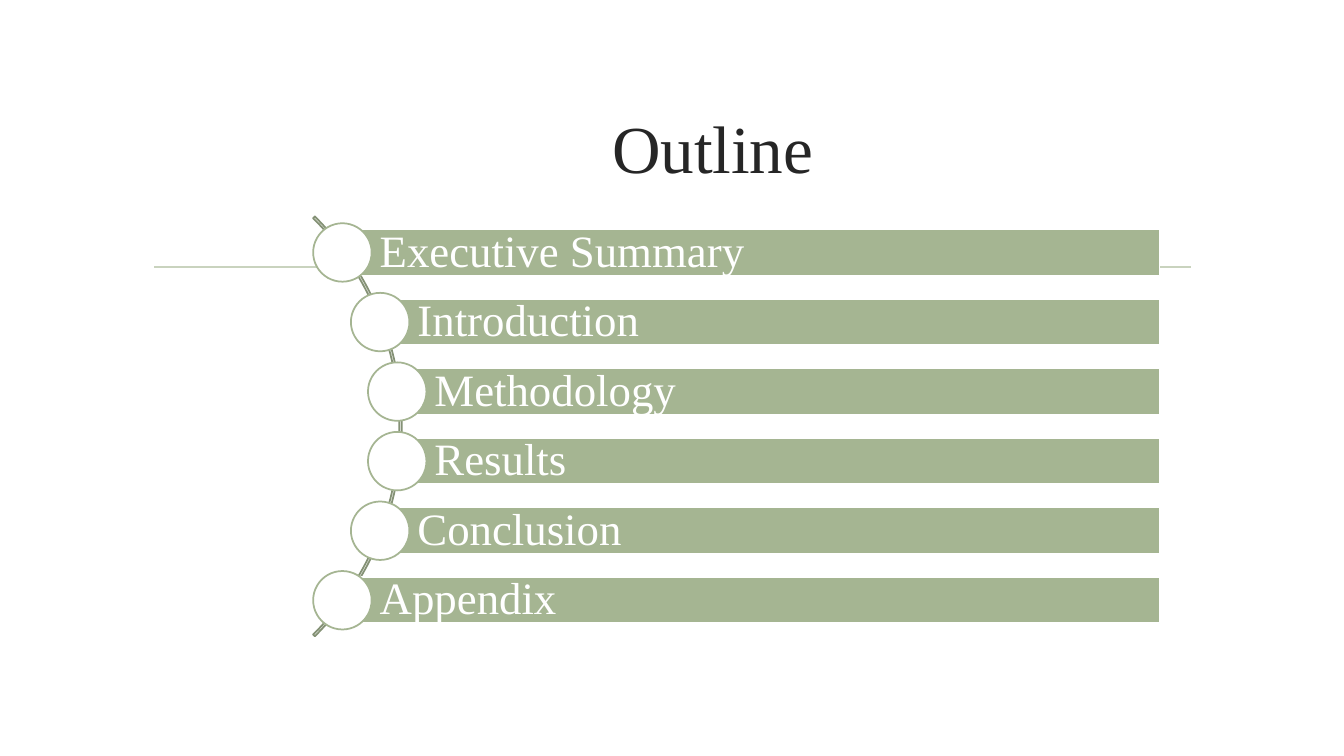
from math import sqrt

from pptx import Presentation
from pptx.dml.color import RGBColor
from pptx.enum.shapes import MSO_CONNECTOR, MSO_SHAPE
from pptx.enum.text import MSO_ANCHOR, PP_ALIGN
from pptx.oxml.ns import qn
from pptx.util import Inches, Pt

RECT, OVAL, ARC = MSO_SHAPE.RECTANGLE, MSO_SHAPE.OVAL, MSO_SHAPE.BLOCK_ARC
STRAIGHT = MSO_CONNECTOR.STRAIGHT
LEFT, CENTER, MIDDLE = PP_ALIGN.LEFT, PP_ALIGN.CENTER, MSO_ANCHOR.MIDDLE

TITLE = "Outline"
SECTIONS = ["Executive Summary", "Introduction", "Methodology",
            "Results", "Conclusion", "Appendix"]

FONT = "Times New Roman"
SAGE, OLIVE, PALE = "A5B592", "849175", "C9D3BE"
WHITE, INK = "FFFFFF", "262626"
LINE_WIDTH = Pt(1.25)

ARC_X, ARC_Y, ARC_SIZE = 1.04, 4.23, 5.89  # centre and diameter
MARKER_RADIUS = 2.92  # from the arc centre to the marker centres
MARKER_SIZE = 0.58
BAR_RIGHT, BAR_HEIGHT, ROW_PITCH = 11.5, 0.46, 0.69


def color(hex_code):
    return RGBColor.from_string(hex_code)


def set_line(line, hex_code):
    line.color.rgb = color(hex_code)
    line.width = LINE_WIDTH


def add_shape(kind, left, top, width, height, fill, outline):
    shape = slide.shapes.add_shape(
        kind, Inches(left), Inches(top), Inches(width), Inches(height))
    shape.shadow.inherit = False
    if fill:
        shape.fill.solid()
        shape.fill.fore_color.rgb = color(fill)
    else:
        shape.fill.background()
    set_line(shape.line, outline)
    return shape


def write(shape, text, size, ink, align=LEFT, spacing=1.0, inset=0.1, edge=0.09):
    """Put one line of text in a shape; inset is the left margin."""
    frame = shape.text_frame
    frame.word_wrap = True
    frame.vertical_anchor = MIDDLE
    frame.margin_left = Inches(inset)
    frame.margin_top = frame.margin_right = frame.margin_bottom = Inches(edge)
    paragraph = frame.paragraphs[0]
    paragraph.text = text
    paragraph.alignment = align
    paragraph.line_spacing = spacing
    font = paragraph.font
    font.name, font.size = FONT, Pt(size)
    font.color.rgb = color(ink)


prs = Presentation()
prs.slide_width, prs.slide_height = Inches(13.33), Inches(7.5)
slide = prs.slides.add_slide(prs.slide_layouts[6])

rule = slide.shapes.add_connector(
    STRAIGHT, Inches(1.53), Inches(2.65), Inches(11.81), Inches(2.65))
set_line(rule.line, PALE)
properties = rule._element.spPr
properties.append(properties.makeelement(qn("a:effectLst"), {}))

title = slide.shapes.add_textbox(
    Inches(2.72), Inches(0.86), Inches(8.7), Inches(1.18))
write(title, TITLE, 48, INK, align=CENTER, inset=0.1, edge=0.1)

arc = add_shape(ARC, ARC_X - ARC_SIZE / 2, ARC_Y - ARC_SIZE / 2,
                ARC_SIZE, ARC_SIZE, None, OLIVE)
for index, value in enumerate((189, 27, 0.004)):
    arc.adjustments[index] = value

for row, section in enumerate(SECTIONS):
    rise = (row - (len(SECTIONS) - 1) / 2) * ROW_PITCH
    x = ARC_X + sqrt(MARKER_RADIUS ** 2 - rise ** 2)
    y = ARC_Y + rise
    bar = add_shape(RECT, x, y - BAR_HEIGHT / 2, BAR_RIGHT - x, BAR_HEIGHT,
                    SAGE, WHITE)
    write(bar, section, 32, WHITE, spacing=0.9, inset=0.37)
    add_shape(OVAL, x - MARKER_SIZE / 2, y - MARKER_SIZE / 2,
              MARKER_SIZE, MARKER_SIZE, WHITE, SAGE)

prs.save("out.pptx")
